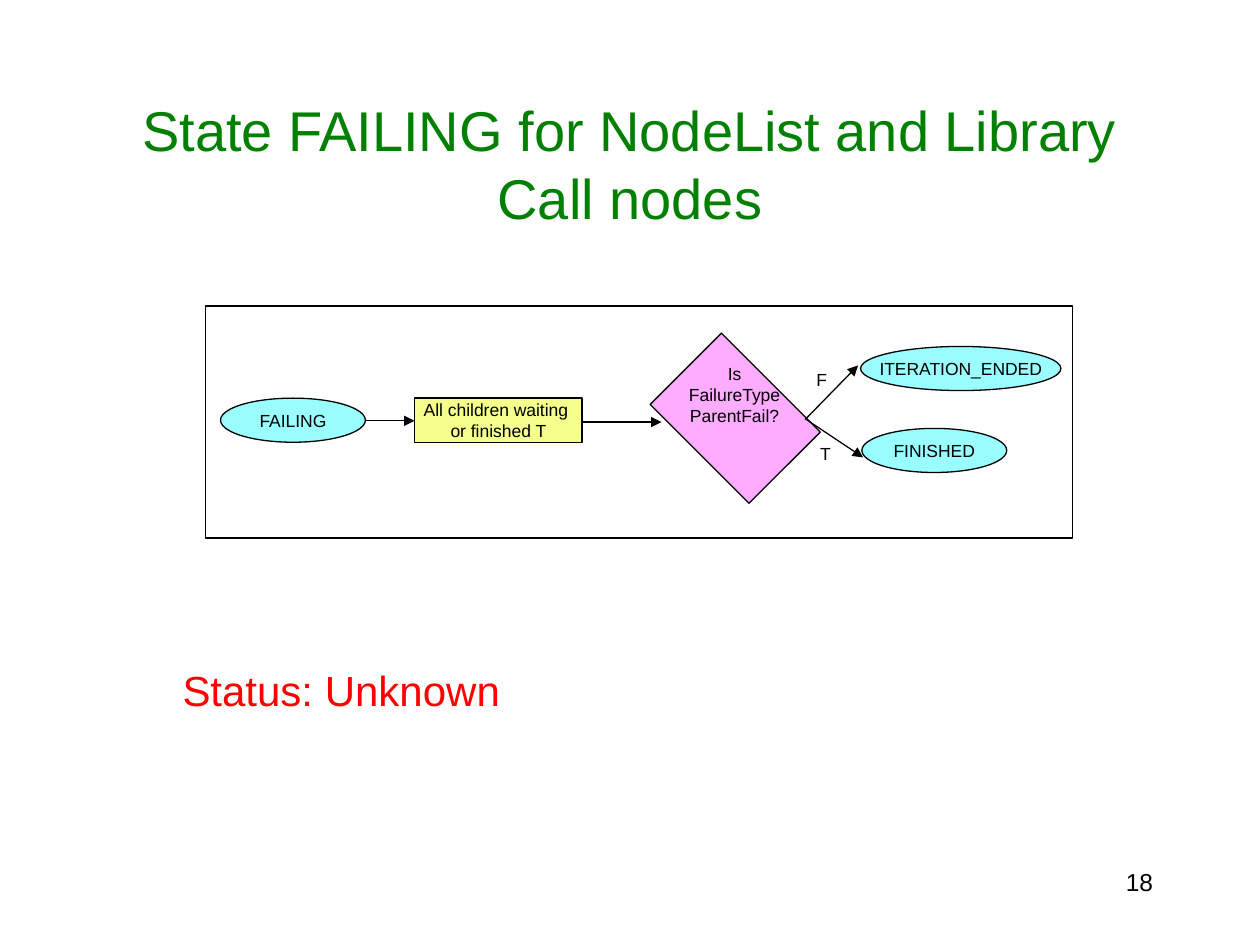
from lxml import etree
from pptx import Presentation
from pptx.dml.color import RGBColor
from pptx.enum import shapes, text
from pptx.oxml.ns import qn
from pptx.util import Inches, Pt

FONT = "Arial"
COLORS = {"black": "000000", "title": "008000", "status": "FF0000",
          "state": "9AFDFF", "action": "F4FF8C", "decision": "FDACFF"}
KINDS = {"state": shapes.MSO_SHAPE.OVAL, "action": shapes.MSO_SHAPE.RECTANGLE,
         "decision": shapes.MSO_SHAPE.RECTANGLE, "frame": shapes.MSO_SHAPE.RECTANGLE}
ALIGN = {"left": text.PP_ALIGN.LEFT, "center": text.PP_ALIGN.CENTER,
         "right": text.PP_ALIGN.RIGHT}

# Flow chart: kind, (left, top, width, height), rotation, lines
NODES = [
    ("frame", (1.63, 2.43, 6.88, 1.84), 0, []),
    ("state", (1.75, 3.16, 1.15, 0.35), 0, ["FAILING"]),
    ("action", (3.29, 3.16, 1.33, 0.35), 0, ["All children waiting ", "or finished T"]),
    ("decision", (5.28, 2.92, 1.11, 0.8), 45, []),
    ("state", (6.83, 2.75, 1.59, 0.35), 0, ["ITERATION_ENDED"]),
    ("state", (6.84, 3.4, 1.15, 0.35), 0, ["FINISHED"]),
]
ARROWS = [
    ((2.9, 3.34), (3.29, 3.34)),
    ((4.61, 3.35), (5.25, 3.35)),
    ((6.39, 3.33), (6.81, 2.9)),
    ((6.4, 3.33), (6.85, 3.63)),
]
# Text boxes: (left, top, width, height), lines, size, colour, alignment, wrap
TITLE = ((0.75, 0.67, 8.5, 1.25),
         ["State FAILING for NodeList and Library Call nodes"], 32, "title", "center", True)
STATUS = ((1.35, 5.25, 2.72, 0.49), ["Status: Unknown"], 24, "status", "left", False)
LABELS = [
    ((5.15, 2.83, 1.36, 0.77), ["Is", "FailureType", "ParentFail?"],
     10, "black", "center", True),
    ((6.38, 2.88, 0.35, 0.27), ["F"], 10, "black", "left", True),
    ((6.41, 3.47, 0.28, 0.27), ["T"], 10, "black", "left", False),
    ((7.17, 6.83, 2.08, 0.5), ["18"], 14, "black", "right", True),
]


def rgb(name):
    return RGBColor.from_string(COLORS[name])


def write(frame, lines, size, color, align, wrap, middle=False):
    frame.word_wrap = wrap
    frame.vertical_anchor = text.MSO_ANCHOR.MIDDLE if middle else text.MSO_ANCHOR.TOP
    for index, line in enumerate(lines):
        para = frame.add_paragraph() if index else frame.paragraphs[0]
        para.alignment = ALIGN[align]
        span = para.add_run()
        span.text = line
        span.font.name = FONT
        span.font.size = Pt(size)
        span.font.color.rgb = rgb(color)


def add_text(page, place, lines, size, color, align, wrap, middle=False):
    box = page.shapes.add_textbox(*map(Inches, place))
    write(box.text_frame, lines, size, color, align, wrap, middle)
    return box


def add_node(page, kind, place, rotation, lines):
    node = page.shapes.add_shape(KINDS[kind], *map(Inches, place))
    node.shadow.inherit = False
    node.rotation = rotation
    if kind in COLORS:
        node.fill.solid()
        node.fill.fore_color.rgb = rgb(kind)
    else:
        node.fill.background()
    node.line.color.rgb = rgb("black")
    node.line.width = Pt(0.75)
    if lines:
        write(node.text_frame, lines, 10, "black", "center", False, middle=True)


def add_arrow(page, start, end):
    arrow = page.shapes.add_connector(
        shapes.MSO_CONNECTOR.STRAIGHT, *map(Inches, start + end))
    arrow.line.color.rgb = rgb("black")
    arrow.line.width = Pt(0.75)
    etree.SubElement(arrow.line._get_or_add_ln(), qn("a:tailEnd"), type="triangle")
    etree.SubElement(arrow._element.spPr, qn("a:effectLst"))


def main():
    deck = Presentation()
    deck.slide_width, deck.slide_height = Inches(10), Inches(7.5)
    page = deck.slides.add_slide(deck.slide_layouts[6])

    # Title
    add_text(page, *TITLE, middle=True)

    # Flow chart
    for node in NODES:
        add_node(page, *node)
    for arrow in ARROWS:
        add_arrow(page, *arrow)

    # Labels and page number
    for label in LABELS:
        add_text(page, *label)

    # Status line
    status = add_text(page, *STATUS)
    status.text_frame.paragraphs[0].line_spacing = 0.97

    deck.save("out.pptx")


if __name__ == "__main__":
    main()
